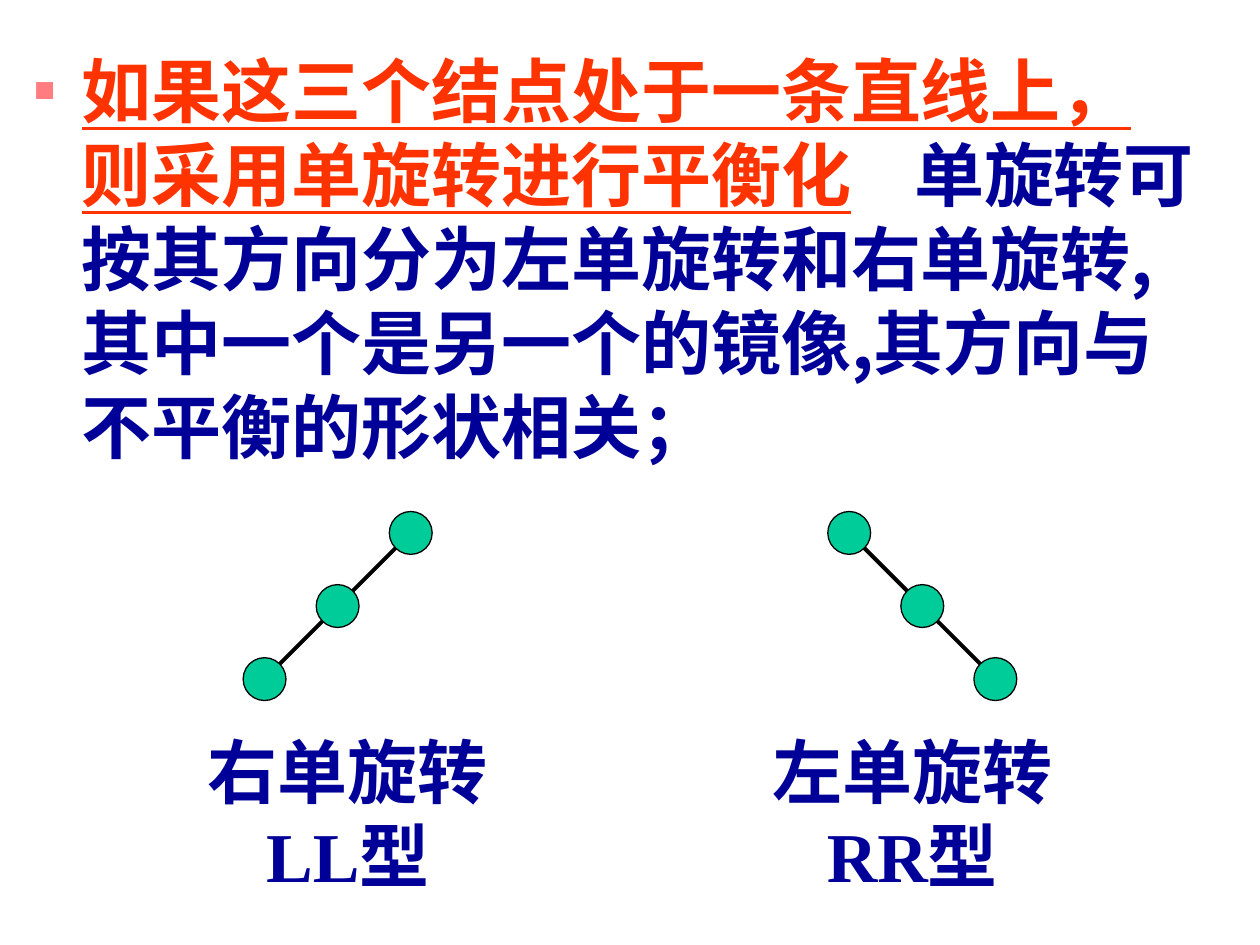
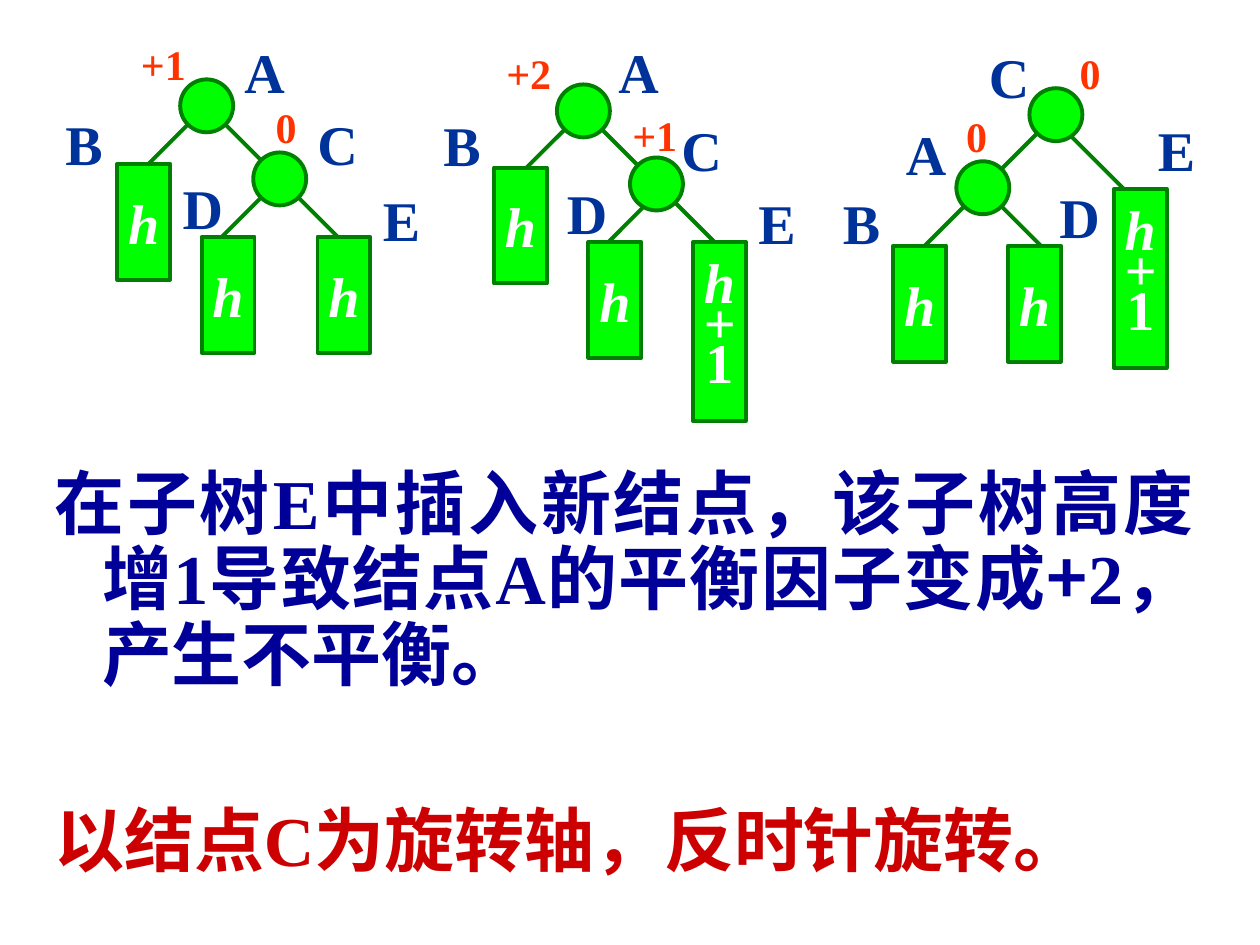
from pptx import Presentation
from pptx.dml.color import RGBColor
from pptx.enum.shapes import MSO_CONNECTOR, MSO_SHAPE
from pptx.enum.text import MSO_ANCHOR, MSO_AUTO_SIZE, PP_ALIGN
from pptx.oxml.ns import qn
from pptx.util import Emu, Pt
from lxml.etree import SubElement

PX = 9144
SERIF = "Times New Roman"
HAN = "Noto Sans CJK SC"
NAVY = "000099"
RED = "FF3300"
LETTER = "003399"
GREEN = "008000"
LIME = "00FF00"
MINT = "00CC99"
BLACK = "000000"
WHITE = "FFFFFF"
RADIUS = 21
NODE_STEP = 58
EDGE_START = 12
EDGE_LENGTH = {-1: 42, 1: 50}
SUBTREE_WIDTH = 42
HEIGHTS = {"h": 92, "h+1": 142}


def px(*lengths):
    return [Emu(round(length * PX)) for length in lengths]


def color(hex_value):
    return RGBColor.from_string(hex_value)


def write(paragraph, text, size=40, ink=NAVY, font=SERIF, italic=False, underline=False):
    run = paragraph.add_run()
    run.text = text
    run.font.size = Pt(size)
    run.font.name = font
    run.font.bold = True
    run.font.italic = italic
    run.font.underline = underline
    run.font.color.rgb = color(ink)
    SubElement(run.font._element, qn("a:ea"), typeface=HAN)


class Deck:
    def __init__(self):
        self.presentation = Presentation()
        self.presentation.slide_width, self.presentation.slide_height = px(1000, 750)

    def new_slide(self):
        self.slide = self.presentation.slides.add_slide(self.presentation.slide_layouts[1])
        title = self.slide.shapes.title._element
        title.getparent().remove(title)
        self.ungroup()

    def group(self):
        self.canvas = self.slide.shapes.add_group_shape().shapes

    def ungroup(self):
        self.canvas = self.slide.shapes

    def body(self, left, top, width, height, paragraphs, bullet=None, align=None, spacing=1.0):
        content = self.slide.placeholders[1]
        content.left, content.top, content.width, content.height = px(left, top, width, height)
        frame = content.text_frame
        frame.auto_size = MSO_AUTO_SIZE.NONE
        for index, (before, runs) in enumerate(paragraphs):
            paragraph = frame.add_paragraph() if index else frame.paragraphs[0]
            paragraph.alignment = align
            paragraph.line_spacing = spacing
            paragraph.space_before = Pt(before)
            for text, style in runs:
                write(paragraph, text, **style)
            props = paragraph._p.get_or_add_pPr()
            props.set("marL", str(px(38)[0]))
            props.set("indent", str(px(-38)[0]))
            if bullet:
                SubElement(SubElement(props, qn("a:buClr")), qn("a:srgbClr"), val=bullet)
                SubElement(props, qn("a:buSzPct"), val="50000")
                SubElement(props, qn("a:buChar"), char="■")
            else:
                SubElement(props, qn("a:buNone"))

    def label(self, left, top, width, height, lines, align=PP_ALIGN.LEFT, **style):
        frame = self.canvas.add_textbox(*px(left, top, width, height)).text_frame
        frame.word_wrap = False
        frame.auto_size = MSO_AUTO_SIZE.SHAPE_TO_FIT_TEXT
        self.fill_lines(frame, lines, align, 1.0, **style)

    def fill_lines(self, frame, lines, align, spacing, **style):
        for index, line in enumerate(lines):
            paragraph = frame.add_paragraph() if index else frame.paragraphs[0]
            paragraph.alignment = align
            paragraph.line_spacing = spacing
            write(paragraph, line, **style)

    def outlined(self, kind, left, top, width, height, fill, edge, weight):
        shape = self.canvas.add_shape(kind, *px(left, top, width, height))
        shape.shadow.inherit = False
        shape.fill.solid()
        shape.fill.fore_color.rgb = color(fill)
        shape.line.color.rgb = color(edge)
        shape.line.width = Pt(weight)
        return shape

    def node(self, x, y, radius=RADIUS, fill=LIME, edge=GREEN, weight=2.25):
        self.outlined(MSO_SHAPE.OVAL, x - radius, y - radius, 2 * radius, 2 * radius, fill, edge, weight)

    def edge(self, start, end, ink=GREEN):
        line = self.canvas.add_connector(MSO_CONNECTOR.STRAIGHT, *px(*start, *end))
        line.line.color.rgb = color(ink)
        line.line.width = Pt(2.25)
        SubElement(line._element.spPr, qn("a:effectLst"))

    def branch(self, x, y, side, shift=0):
        near, far = EDGE_START, EDGE_START + EDGE_LENGTH[side]
        self.edge((x + shift + side * near, y + near), (x + shift + side * far, y + far))

    def subtree(self, center, top, height):
        block = self.outlined(MSO_SHAPE.RECTANGLE, center - SUBTREE_WIDTH // 2, top,
                              SUBTREE_WIDTH, HEIGHTS[height], LIME, GREEN, 2.25)
        frame = block.text_frame
        frame.word_wrap = False
        frame.vertical_anchor = MSO_ANCHOR.MIDDLE
        self.fill_lines(frame, height, PP_ALIGN.CENTER, 0.6 if len(height) > 1 else 1.0,
                        size=32, ink=WHITE, italic=True)
        for paragraph in frame.paragraphs:
            if paragraph.text == "1":
                paragraph.runs[0].font.italic = False

    def chain(self, x, y, side):
        nodes = [(x + side * NODE_STEP * i, y + NODE_STEP * i) for i in range(3)]
        self.group()
        self.edge(nodes[0], nodes[-1], BLACK)
        for center in nodes:
            self.node(*center, radius=17, fill=MINT, edge=BLACK, weight=0.75)
        self.ungroup()

    def tree(self, root, side, subtrees, letters, balances):
        child = (root[0] + side * NODE_STEP, root[1] + NODE_STEP)
        self.group()
        self.branch(*root, side)
        blocks = []
        for parent, offset, drop, height, shift in subtrees:
            x, y = child if parent == "child" else root
            self.branch(x, y, 1 if offset > 0 else -1, shift)
            blocks.append((x + offset, y + drop, height))
        for block in blocks:
            self.subtree(*block)
        self.node(*root)
        self.node(*child)
        for name, (left, top) in letters.items():
            self.label(left, top, 49 if name in "BE" else 52, 64, [name], size=32, ink=LETTER)
        for balance, left, top in balances:
            self.label(left, top, 18 + 19 * len(balance), 50, [balance], size=24, ink=RED)
        self.ungroup()


def single_rotation(deck):
    deck.new_slide()
    deck.body(17, 33, 942, 367, [(7.5, [
        ("如果这三个结点处于一条直线上，则采用单旋转进行平衡化", dict(font=HAN, ink=RED, underline=True)),
        ("　", dict(font=HAN, size=36)),
        ("单旋转可按其方向分为左单旋转和右单旋转, 其中一个是另一个的镜像,其方向与不平衡的形状相关；", dict(font=HAN)),
    ])], bullet="FF7C80")
    for x, side, left, lines in (
        (326, -1, 155, ["右单旋转", "LL型"]),
        (674, 1, 603, ["左单旋转", "RR型"]),
    ):
        deck.chain(x, 423, side)
        deck.label(left, 573, 242, 144, lines, PP_ALIGN.CENTER)


def left_rotation(deck):
    deck.new_slide()
    deck.tree((164, 84), 1,
              [("root", -50, 46, "h", 0), ("child", -41, 46, "h", 0), ("child", 51, 46, "h", 0)],
              {"A": (184, 25), "B": (42, 82), "C": (242, 82), "D": (135, 133), "E": (294, 142)},
              [("+1", 102, 26), ("0", 209, 76)])
    deck.tree((463, 88), 1,
              [("root", -50, 45, "h", 0), ("child", -33, 46, "h", 8), ("child", 50, 46, "h+1", 0)],
              {"A": (481, 25), "B": (342, 83), "C": (531, 87), "D": (440, 137), "E": (592, 145)},
              [("+2", 392, 33), ("+1", 492, 82)])
    deck.tree((838, 91), -1,
              [("child", -50, 46, "h", 0), ("child", 41, 46, "h", 0), ("root", 67, 59, "h+1", -5)],
              {"A": (709, 90), "B": (659, 145), "C": (775, 29), "D": (831, 140), "E": (909, 87)},
              [("0", 757, 83), ("0", 847, 33)])
    deck.body(33, 367, 925, 362, [
        (10, [("在子树E中插入新结点，该子树高度增1导致结点A的平衡因子变成", {}),
              ("+", dict(font=HAN)),
              ("2，产生不平衡。", {})]),
        (63, [("以结点C为旋转轴，反时针旋转。", dict(ink="CC0000"))]),
    ], align=PP_ALIGN.JUSTIFY, spacing=0.9)


def main():
    deck = Deck()
    single_rotation(deck)
    left_rotation(deck)
    deck.presentation.save("out.pptx")


if __name__ == "__main__":
    main()
